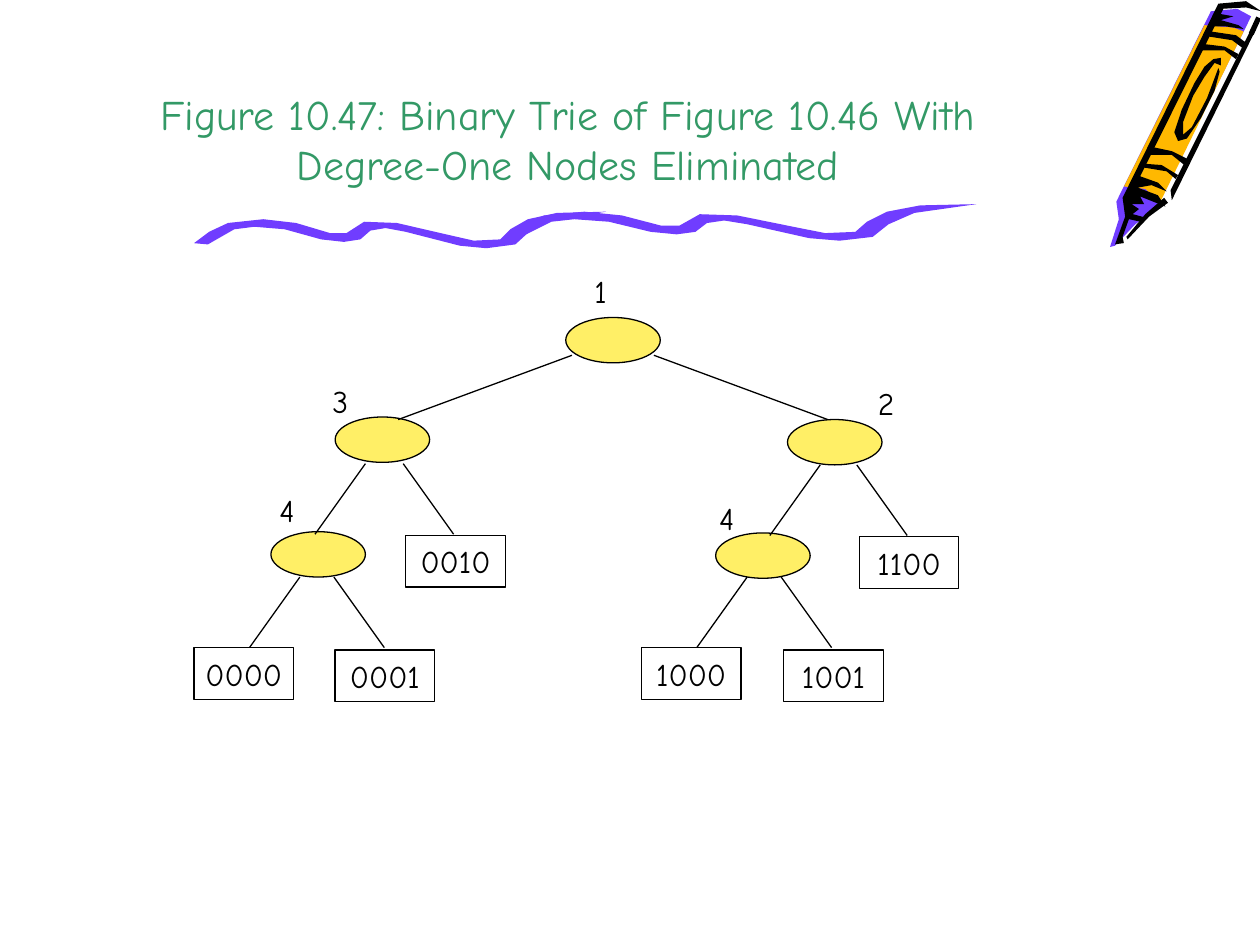
from dataclasses import dataclass

import pptx
import pptx.dml.color
import pptx.enum.shapes
import pptx.enum.text
import pptx.oxml
import pptx.util
from pptx.util import Inches


def color(value):
    return pptx.dml.color.RGBColor.from_string(value)


@dataclass(frozen=True)
class Theme:
    font = "Comic Neue"
    title = color("339966")
    ink = color("000000")
    node = color("FFEF66")
    violet = color("703DFF")
    orange = color("FFB800")
    title_size = pptx.util.Pt(24)
    text_size = pptx.util.Pt(18)
    thin = pptx.util.Pt(0.75)
    thick = pptx.util.Pt(3)


THEME = Theme()
NODE_SIZE = (0.75, 0.36)
LEAF_SIZE = (0.79, 0.41)
LABEL_SIZE = (0.3, 0.4)
BRANCH = (0.4, 0.56)

# Branch nodes: left, top, bit number, and left and top of its label
NODES = [
    (4.49, 2.52, "1", 4.62, 2.11),
    (2.66, 3.31, "3", 2.54, 2.98),
    (2.15, 4.22, "4", 2.12, 3.85),
    (6.25, 3.33, "2", 6.87, 3.0),
    (5.68, 4.23, "4", 5.61, 3.91),
]
# Element nodes: left, top, key
LEAVES = [
    (1.54, 5.14, "0000"), (2.66, 5.16, "0001"), (3.22, 4.25, "0010"),
    (5.09, 5.14, "1000"), (6.22, 5.16, "1001"), (6.82, 4.26, "1100"),
]
ROOT_EDGES = [((4.54, 2.82), (3.16, 3.33)), ((5.19, 2.82), (6.57, 3.33))]
# Start points of the left and right branches below each inner node
BRANCH_STARTS = [
    ((2.9, 3.68), (3.2, 3.68)),
    ((2.38, 4.58), (2.65, 4.58)),
    ((6.51, 3.69), (6.8, 3.69)),
    ((5.93, 4.58), (6.2, 4.58)),
]

WAVE = [
    (1.65, 1.94), (1.86, 1.82), (2.02, 1.8), (2.26, 1.82), (2.55, 1.9), (2.73, 1.92),
    (2.86, 1.9), (2.94, 1.83), (3.06, 1.81), (3.22, 1.84), (3.65, 1.95), (3.86, 1.97),
    (4.09, 1.94), (4.2, 1.84), (4.38, 1.75), (4.81, 1.68), (4.42, 1.69), (4.19, 1.74),
    (4.05, 1.82), (3.97, 1.9), (3.76, 1.91), (3.54, 1.86), (3.15, 1.77), (2.89, 1.76),
    (2.75, 1.85), (2.62, 1.85), (2.35, 1.77), (2.09, 1.74), (1.81, 1.77), (1.66, 1.84),
    (1.54, 1.93),
]
# The second wave is the first one moved and stretched sideways
WAVE_LEFT, WAVE_SHIFT, WAVE_STRETCH = 1.54, (2.47, -0.06), 3.74 / 3.27

CRAYON_BODY = [
    (9.93, 0.13), (9.17, 1.66), (9.01, 1.78), (8.85, 1.95), (8.81, 1.96), (8.88, 1.74),
    (8.86, 1.6), (9.61, 0.09), (9.82, 0.07),
]
CRAYON_WRAPPER = [
    (9.21, 1.6), (9.09, 1.5), (8.92, 1.48), (9.56, 0.2), (9.79, 0.22), (9.87, 0.25),
]
CRAYON_INK = [
    # Tip edge and blunt end
    [(9.27, 1.61), (9.12, 1.72), (8.95, 1.9), (8.94, 1.88), (9.09, 1.7), (9.24, 1.57)],
    [(9.87, 0.23), (9.73, 0.21), (9.61, 0.21), (9.68, 0.11), (9.79, 0.13), (9.69, 0.16),
     (9.83, 0.2)],
    # Oval on the wrapper
    [(9.68, 0.57), (9.64, 0.72), (9.53, 0.94), (9.42, 1.1), (9.35, 1.12), (9.32, 1.05),
     (9.38, 0.87), (9.48, 0.66), (9.56, 0.53), (9.63, 0.47), (9.69, 0.46), (9.69, 0.52),
     (9.64, 0.5), (9.56, 0.61), (9.47, 0.76), (9.39, 0.97), (9.39, 1.07), (9.46, 1.01),
     (9.58, 0.78), (9.67, 0.54)],
    # Right side, then left side with the tip
    [(9.97, 0.23), (9.3, 1.59), (9.29, 1.51), (9.93, 0.23)],
    [(9.25, 1.64), (9.19, 1.55), (9.03, 1.49), (9.14, 1.47), (9.26, 1.52), (9.19, 1.45),
     (9.05, 1.4), (9.71, 0.07), (9.89, 0.06), (10.01, 0.09), (9.89, 0.01), (9.67, 0.03),
     (8.91, 1.57), (8.93, 1.72), (8.85, 1.94), (8.92, 1.93), (8.91, 1.88), (8.96, 1.74),
     (9.05, 1.76), (9.1, 1.73), (8.99, 1.7), (9.04, 1.66), (8.98, 1.62), (9.08, 1.62),
     (9.05, 1.56)],
    # Stripes
    [(9.33, 1.42), (9.26, 1.36), (9.08, 1.33), (9.09, 1.3), (9.22, 1.31), (9.35, 1.39)],
    [(9.4, 1.31), (9.3, 1.23), (9.13, 1.23), (9.16, 1.17), (9.3, 1.2), (9.42, 1.26)],
    [(9.81, 0.47), (9.72, 0.4), (9.53, 0.4), (9.56, 0.35), (9.72, 0.37), (9.83, 0.43)],
    [(9.86, 0.38), (9.78, 0.32), (9.59, 0.29), (9.61, 0.25), (9.81, 0.28), (9.89, 0.34)],
]


def add_outline(group, points, fill):
    corners = [(Inches(x), Inches(y)) for x, y in points]
    builder = group.shapes.build_freeform(*corners[0])
    builder.add_line_segments(corners[1:], close=True)
    shape = builder.convert_to_shape()
    shape.shadow.inherit = False
    shape.fill.solid()
    shape.fill.fore_color.rgb = fill
    shape.line.fill.background()


def add_line(parent, start, end, width=THEME.thin):
    line = parent.shapes.add_connector(
        pptx.enum.shapes.MSO_CONNECTOR.STRAIGHT, *map(Inches, start + end))
    line.line.color.rgb = THEME.ink
    line.line.width = width
    properties = line.element.spPr
    properties.append(pptx.oxml.parse_xml(
        '<a:effectLst xmlns:a="http://schemas.openxmlformats.org/drawingml/2006/main"/>'))


def add_outlined_shape(page, kind, left, top, size):
    shape = page.shapes.add_shape(kind, *map(Inches, (left, top, *size)))
    shape.shadow.inherit = False
    shape.line.color.rgb = THEME.ink
    shape.line.width = THEME.thin
    return shape


def set_text(box, text, size=THEME.text_size, ink=THEME.ink, align=None):
    para = box.text_frame.paragraphs[0]
    para.text = text
    para.alignment = align
    para.font.name = THEME.font
    para.font.size = size
    para.font.color.rgb = ink


def add_title(page, text):
    title = page.shapes.title
    title.left, title.top, title.width, title.height = map(Inches, (0.75, 0, 7.51, 1.55))
    title.text_frame.vertical_anchor = pptx.enum.text.MSO_ANCHOR.BOTTOM
    set_text(title, text, THEME.title_size, THEME.title, pptx.enum.text.PP_ALIGN.CENTER)


def add_node(page, left, top, bit, label_left, label_top):
    node = add_outlined_shape(page, pptx.enum.shapes.MSO_SHAPE.OVAL, left, top, NODE_SIZE)
    node.fill.solid()
    node.fill.fore_color.rgb = THEME.node
    label = page.shapes.add_textbox(*map(Inches, (label_left, label_top, *LABEL_SIZE)))
    label.text_frame.word_wrap = True
    set_text(label, bit)


def add_leaf(page, left, top, key):
    leaf = add_outlined_shape(page, pptx.enum.shapes.MSO_SHAPE.RECTANGLE, left, top, LEAF_SIZE)
    leaf.fill.background()
    leaf.text_frame.word_wrap = False
    leaf.text_frame.vertical_anchor = pptx.enum.text.MSO_ANCHOR.MIDDLE
    set_text(leaf, key, align=pptx.enum.text.PP_ALIGN.CENTER)


def add_crayon(page):
    crayon = page.shapes.add_group_shape()
    add_outline(crayon, CRAYON_BODY, THEME.violet)
    add_outline(crayon, CRAYON_WRAPPER, THEME.orange)
    for points in CRAYON_INK:
        add_outline(crayon, points, THEME.ink)
    add_line(crayon, (9.99, 0.14), (9.93, 0.27), THEME.thick)


def add_waves(page):
    waves = page.shapes.add_group_shape()
    shift_x, shift_y = WAVE_SHIFT
    second = [(WAVE_LEFT + shift_x + (x - WAVE_LEFT) * WAVE_STRETCH, y + shift_y)
              for x, y in WAVE]
    for points in (WAVE, second):
        add_outline(waves, points, THEME.violet)


def add_trie(page):
    for node in NODES:
        add_node(page, *node)
    for start, end in ROOT_EDGES:
        add_line(page, start, end)
    across, down = BRANCH
    for pair in BRANCH_STARTS:
        for side, (x, y) in zip((-1, 1), pair):
            add_line(page, (x, y), (x + side * across, y + down))
    for leaf in LEAVES:
        add_leaf(page, *leaf)


def main():
    deck = pptx.Presentation()
    deck.slide_width, deck.slide_height = Inches(10), Inches(7.5)
    page = deck.slides.add_slide(deck.slide_layouts[5])

    # Decoration
    add_crayon(page)
    add_waves(page)

    # Content
    add_title(page, "Figure 10.47: Binary Trie of Figure 10.46 With Degree-One Nodes Eliminated")
    add_trie(page)
    deck.save("out.pptx")


if __name__ == "__main__":
    main()
